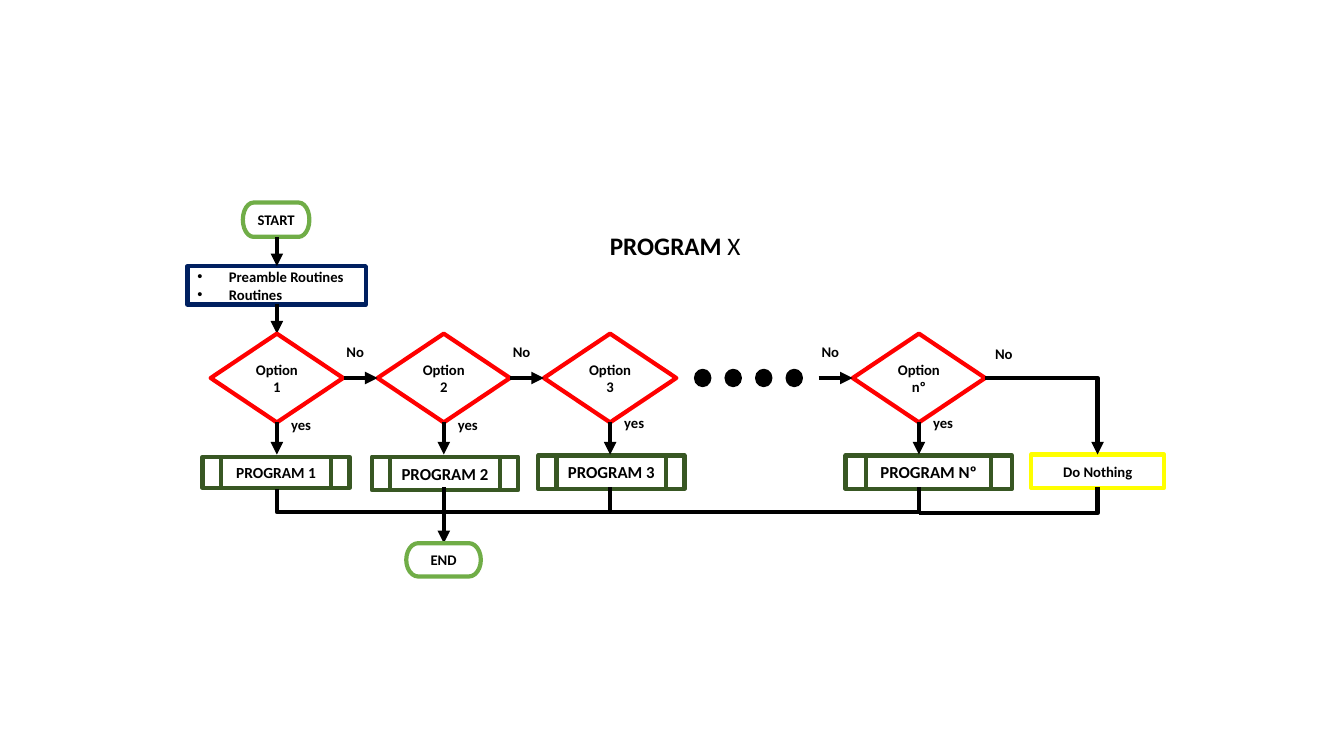
from dataclasses import dataclass

from lxml import etree
from pptx import Presentation
from pptx import util as u
from pptx.dml.color import RGBColor
from pptx.enum import shapes, text
from pptx.oxml.ns import qn

Pt = u.Pt
SHAPE = shapes.MSO_SHAPE
ALIGN = text.PP_ALIGN


@dataclass(frozen=True)
class Theme:
    font: str = "Calibri"
    ink: str = "000000"
    terminator: str = "70AD47"
    preamble: str = "002060"
    decision: str = "FF0000"
    program: str = "385723"
    nothing: str = "FFFF00"
    title_size: float = 18
    label_size: float = 10.5
    small_program_size: float = 11
    program_size: float = 12
    line_width: float = 3


@dataclass(frozen=True)
class Option:
    """One branch: its column centre and the places of its parts."""
    name: str
    center: float
    program: str
    program_box: tuple
    program_size: float
    yes_top: float


THEME = Theme()
FLOW_BOX = (134, 144.7)
DECISION_WIDTH, DECISION_HEIGHT, DECISION_TOP = 94.6, 63.4, 93.6
MIDDLE = DECISION_TOP + DECISION_HEIGHT / 2
PROGRAM_TOP, PROGRAM_BOTTOM, BUS = 180, 203.3, 221.3

OPTIONS = [
    Option("Option 1", 63.8, "PROGRAM 1", (10.7, 181.5, 105, 22.3),
           THEME.small_program_size, 149.1),
    Option("Option 2", 183, "PROGRAM 2", (131.7, 181.5, 104.4, 23.8),
           THEME.program_size, 149.1),
    Option("Option 3", 301.8, "PROGRAM 3", (250.5, 180.7, 104.4, 23.8),
           THEME.program_size, 147.6),
    Option("Option nº", 522.4, "PROGRAM Nº", (470, 180.7, 118.8, 23.8),
           THEME.program_size, 147.6),
]


def add_run(paragraph, words, size, bold=True):
    run = paragraph.add_run()
    run.text = words
    run.font.name = THEME.font
    run.font.size = Pt(size)
    run.font.bold = bold
    run.font.color.rgb = RGBColor.from_string(THEME.ink)


def add_node(slide, box, kind, place, color, words="", size=THEME.label_size):
    left, top, width, height = place
    shape = slide.shapes.add_shape(kind, Pt(box[0] + left), Pt(box[1] + top),
                                   Pt(width), Pt(height))
    shape.shadow.inherit = False
    shape.fill.background()
    shape.line.color.rgb = RGBColor.from_string(color)
    shape.line.width = Pt(THEME.line_width)
    if words:
        shape.text_frame.word_wrap = True
        shape.text_frame.vertical_anchor = text.MSO_ANCHOR.MIDDLE
        paragraph = shape.text_frame.paragraphs[0]
        paragraph.alignment = ALIGN.CENTER
        add_run(paragraph, words, size)
    return shape


def add_label(slide, box, left, top, words):
    label = slide.shapes.add_textbox(Pt(box[0] + left), Pt(box[1] + top), Pt(29), Pt(20))
    label.text_frame.word_wrap = False
    add_run(label.text_frame.paragraphs[0], words, THEME.label_size)


def add_line(slide, box, start, end, arrow=True, kind=shapes.MSO_CONNECTOR.STRAIGHT):
    (x1, y1), (x2, y2) = start, end
    connector = slide.shapes.add_connector(kind, Pt(box[0] + x1), Pt(box[1] + y1),
                                           Pt(box[0] + x2), Pt(box[1] + y2))
    connector.line.color.rgb = RGBColor.from_string(THEME.ink)
    connector.line.width = Pt(THEME.line_width)
    if arrow:
        etree.SubElement(connector.line._get_or_add_ln(), qn("a:tailEnd"), type="triangle")
    etree.SubElement(connector._element.spPr, qn("a:effectLst"))
    return connector


def set_bend(connector, preset, adjustment=None):
    geometry = connector._element.spPr.find(qn("a:prstGeom"))
    geometry.set("prst", preset)
    if adjustment is not None:
        guides = geometry.find(qn("a:avLst"))
        if guides is None:
            guides = etree.SubElement(geometry, qn("a:avLst"))
        etree.SubElement(guides, qn("a:gd"), name="adj1", fmla=f"val {adjustment}")


def add_drop(slide, box, right, left, depth, preset, adjustment=None):
    """Elbow that leaves `right` downwards, then runs left: a quarter-turned bend."""
    x, y = (right + left) / 2, PROGRAM_BOTTOM + depth / 2
    span = right - left
    connector = add_line(slide, box, (x - depth / 2, y - span / 2),
                         (x + depth / 2, y + span / 2), False, shapes.MSO_CONNECTOR.ELBOW)
    connector._element.spPr.find(qn("a:xfrm")).set("rot", str(90 * 60000))
    set_bend(connector, preset, adjustment)


def add_title(slide, left, top, width, height):
    title = slide.shapes.title
    title.left, title.top, title.width, title.height = map(Pt, (left, top, width, height))
    frame = title.text_frame
    frame.word_wrap = False
    frame.auto_size = text.MSO_AUTO_SIZE.NONE
    frame.vertical_anchor = text.MSO_ANCHOR.TOP
    paragraph = frame.paragraphs[0]
    paragraph.alignment = ALIGN.LEFT
    add_run(paragraph, "PROGRAM", THEME.title_size)
    add_run(paragraph, " X", THEME.title_size, bold=False)


def add_opening(slide, box):
    center = OPTIONS[0].center
    add_node(slide, box, SHAPE.FLOWCHART_TERMINATOR, (39.5, 0, 47.5, 24.5),
             THEME.terminator, "START")
    preamble = add_node(slide, box, SHAPE.FLOWCHART_PROCESS, (0, 45.4, 127.4, 27.4),
                        THEME.preamble)
    frame = preamble.text_frame
    frame.word_wrap = True
    frame.vertical_anchor = text.MSO_ANCHOR.MIDDLE
    for index, words in enumerate(("Preamble Routines", "Routines")):
        paragraph = frame.add_paragraph() if index else frame.paragraphs[0]
        paragraph.alignment = ALIGN.LEFT
        properties = paragraph._p.get_or_add_pPr()
        properties.set("marL", str(Pt(22.5)))
        properties.set("indent", str(-Pt(22.5)))
        etree.SubElement(properties, qn("a:buFont"), typeface="Arial")
        etree.SubElement(properties, qn("a:buChar"), char="•")
        add_run(paragraph, words, THEME.label_size)
    for top, bottom in ((24.5, 45.4), (72.8, DECISION_TOP)):
        add_line(slide, box, (center, top), (center, bottom))


def add_option(slide, box, option):
    center = option.center
    left = center - DECISION_WIDTH / 2
    add_node(slide, box, SHAPE.FLOWCHART_DECISION,
             (left, DECISION_TOP, DECISION_WIDTH, DECISION_HEIGHT),
             THEME.decision, option.name)
    add_node(slide, box, SHAPE.FLOWCHART_PREDEFINED_PROCESS, option.program_box,
             THEME.program, option.program, option.program_size)
    add_line(slide, box, (center, DECISION_TOP + DECISION_HEIGHT), (center, PROGRAM_TOP))
    add_label(slide, box, center + 3, option.yes_top, "yes")
    if option is not OPTIONS[0]:
        add_line(slide, box, (left - 24.3, MIDDLE), (left, MIDDLE))
        add_label(slide, box, left - 29.3, 97, "No")


def add_dots(slide, box):
    for index in range(4):
        dot = add_node(slide, box, SHAPE.FLOWCHART_CONNECTOR,
                       (362.2 + 21.8 * index, MIDDLE - 6.1, 11.5, 12.2), THEME.ink)
        dot.fill.solid()
        dot.fill.fore_color.rgb = RGBColor.from_string(THEME.ink)
        dot.line.width = Pt(1)


def add_nothing(slide, box):
    center = 650
    right = OPTIONS[-1].center + DECISION_WIDTH / 2
    add_node(slide, box, SHAPE.FLOWCHART_PROCESS, (602.6, PROGRAM_TOP, 95, 23.8),
             THEME.nothing, "Do Nothing")
    bend = add_line(slide, box, (right, MIDDLE), (center, PROGRAM_TOP),
                    kind=shapes.MSO_CONNECTOR.ELBOW)
    set_bend(bend, "bentConnector2")
    add_label(slide, box, right, 98, "No")
    add_drop(slide, box, center, OPTIONS[-1].center, BUS - PROGRAM_BOTTOM + 0.5,
             "bentConnector2")


def add_ending(slide, box):
    first, second, third, last = (option.center for option in OPTIONS)
    for right, left in ((second, first), (third, second), (last, third)):
        add_drop(slide, box, right, left, 1, "bentConnector3",
                 round((BUS - PROGRAM_BOTTOM) * 100000))
    add_line(slide, box, (second, PROGRAM_BOTTOM), (second, 243.3))
    add_node(slide, box, SHAPE.FLOWCHART_TERMINATOR, (156.2, 243.3, 53.3, 23.8),
             THEME.terminator, "END")


def build_flow_slide(presentation):
    slide = presentation.slides.add_slide(presentation.slide_layouts[5])
    add_title(slide, 428.4, 160.6, 108.7, 28.8)
    add_opening(slide, FLOW_BOX)
    for option in OPTIONS:
        add_option(slide, FLOW_BOX, option)
    add_dots(slide, FLOW_BOX)
    add_nothing(slide, FLOW_BOX)
    add_ending(slide, FLOW_BOX)


presentation = Presentation()
presentation.slide_width, presentation.slide_height = Pt(960), Pt(540)
build_flow_slide(presentation)
presentation.save("out.pptx")
